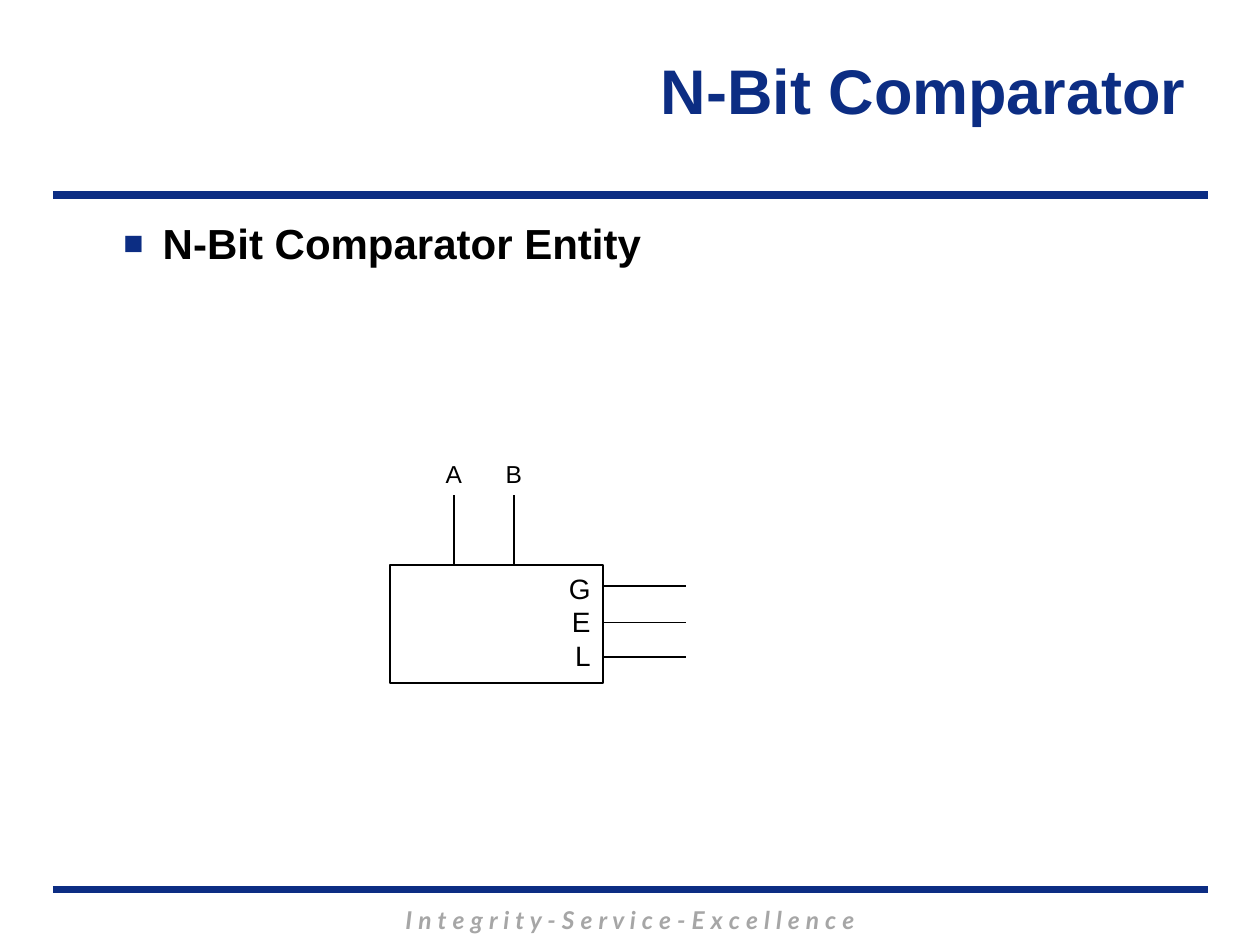
import pptx
import pptx.dml.color
import pptx.enum.shapes
import pptx.enum.text
import pptx.oxml.ns
import pptx.util
from lxml import etree

Pt = pptx.util.Pt
RGBColor = pptx.dml.color.RGBColor
ALIGN = pptx.enum.text.PP_ALIGN
ANCHOR = pptx.enum.text.MSO_ANCHOR

NAVY = RGBColor(0x0C, 0x2D, 0x83)
GRAY = RGBColor(0xA6, 0xA6, 0xA6)
BLACK = RGBColor(0x00, 0x00, 0x00)
WHITE = RGBColor(0xFF, 0xFF, 0xFF)


def add_child(parent, tag, **attributes):
    return etree.SubElement(parent, pptx.oxml.ns.qn(tag), attributes)


def write(frame, text, size=14, color=BLACK, font="Arial", bold=False, italic=False,
          align=ALIGN.LEFT, anchor=ANCHOR.TOP, wrap=True, bullet=None, tracking=0):
    """Fill a text frame, one paragraph per line of text."""
    frame.word_wrap = wrap
    frame.vertical_anchor = anchor
    for index, line in enumerate(text.split("\n")):
        para = frame.add_paragraph() if index else frame.paragraphs[0]
        para.alignment = align
        if bullet:
            properties = para._p.get_or_add_pPr()
            indent = Pt(22.5)
            properties.set("marL", str(indent))
            properties.set("indent", str(-indent))
            add_child(add_child(properties, "a:buClr"), "a:srgbClr", val=str(NAVY))
            add_child(properties, "a:buSzPct", val="80000")
            add_child(properties, "a:buFont", typeface="Arial")
            add_child(properties, "a:buChar", char=bullet)
        span = para.add_run()
        span.text = line
        span.font.name = font
        span.font.size = Pt(size)
        span.font.bold = bold
        span.font.italic = italic
        span.font.color.rgb = color
        if tracking:  # hundredths of a point
            span._r.get_or_add_rPr().set("spc", str(tracking))


class SlideBuilder:
    line_width = 1

    def __init__(self, page):
        self.page = page

    def text(self, left, top, width, height, text, **style):
        box = self.page.shapes.add_textbox(Pt(left), Pt(top), Pt(width), Pt(height))
        write(box.text_frame, text, **style)

    def rectangle(self, left, top, width, height, text, **style):
        box = self.page.shapes.add_shape(
            pptx.enum.shapes.MSO_SHAPE.RECTANGLE, Pt(left), Pt(top), Pt(width), Pt(height))
        box.shadow.inherit = False
        box.fill.solid()
        box.fill.fore_color.rgb = WHITE
        box.line.color.rgb = BLACK
        box.line.width = Pt(self.line_width)
        write(box.text_frame, text, **style)

    def line(self, x1, y1, x2, y2, color=BLACK, width=line_width):
        line = self.page.shapes.add_connector(
            pptx.enum.shapes.MSO_CONNECTOR.STRAIGHT, Pt(x1), Pt(y1), Pt(x2), Pt(y2))
        line.line.color.rgb = color
        line.line.width = Pt(width)
        add_child(line._element.spPr, "a:effectLst")


def main():
    deck = pptx.Presentation()
    deck.slide_width, deck.slide_height = Pt(720), Pt(540)
    slide = SlideBuilder(deck.slides.add_slide(deck.slide_layouts[6]))

    # Rules and footer motto
    for y in (508.3, 111.6):
        slide.line(30.2, y, 690.5, y, color=NAVY, width=4.5)
    slide.text(102.2, 513.4, 516.2, 24.5,
               "I n t e g r i t y - S e r v i c e - E x c e l l e n c e",
               font="Lato", color=GRAY, bold=True, italic=True,
               align=ALIGN.CENTER, tracking=20)

    # Title and bullet
    slide.text(150.5, 5.8, 534.2, 90, "N-Bit Comparator", size=36, color=NAVY,
               bold=True, align=ALIGN.RIGHT, anchor=ANCHOR.MIDDLE)
    slide.text(63.4, 121, 640, 340.6, "N-Bit Comparator Entity", size=24,
               bold=True, bullet="■")

    # Comparator block with its outputs
    left, top, width, height = 222.9, 322.8, 121.7, 67.4
    right = left + width
    slide.rectangle(left, top, width, height, "G\nE\nL", size=16, align=ALIGN.RIGHT)
    for y in (334.9, 355.7, 375.5):
        slide.line(right, y, right + 47.2, y)

    # Inputs
    for name, x in (("A", 259.6), ("B", 293.9)):
        slide.line(x, 283, x, top)
        slide.text(x - 12, 258.5, 24, 24.5, name, wrap=False)

    deck.save("out.pptx")


if __name__ == "__main__":
    main()
